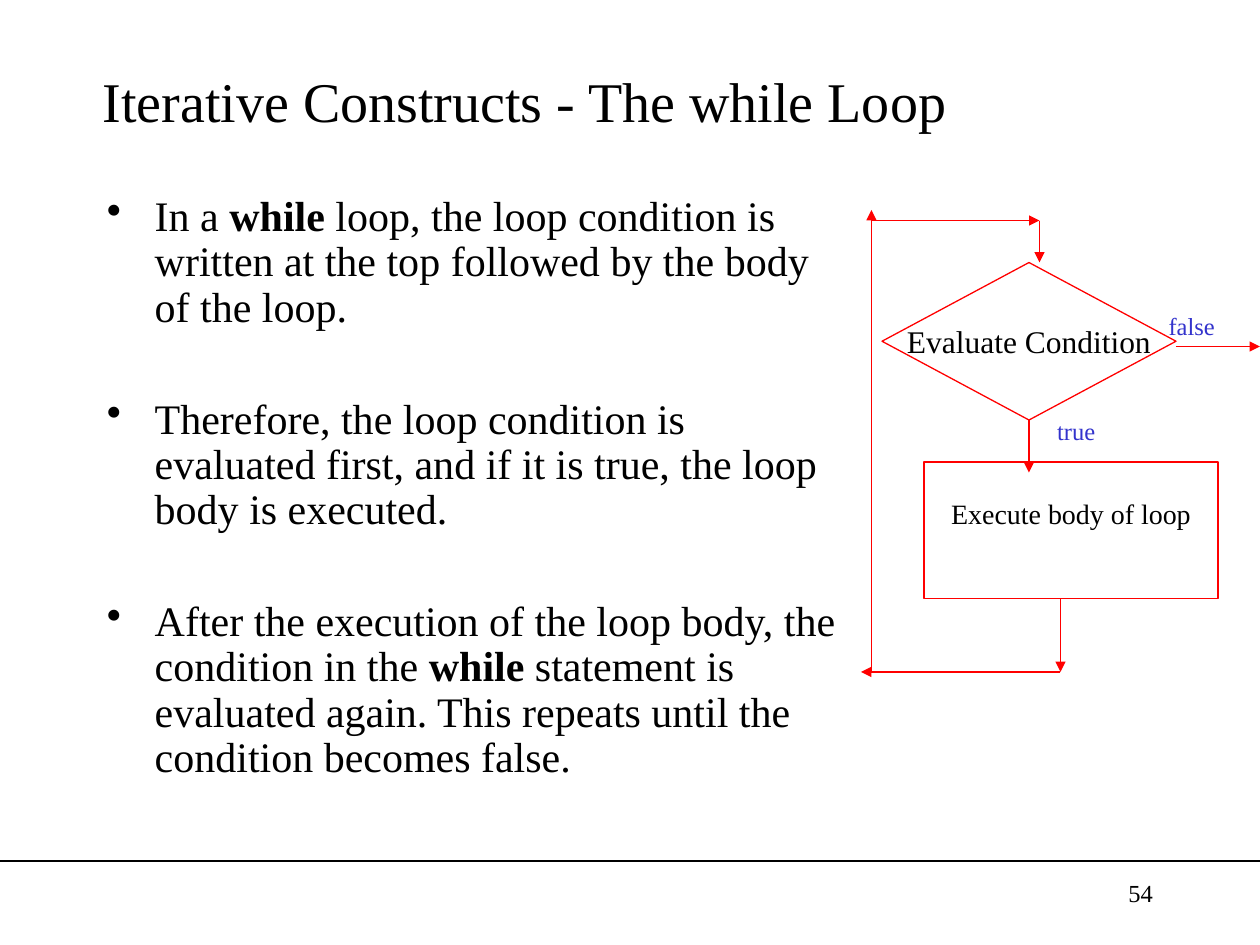
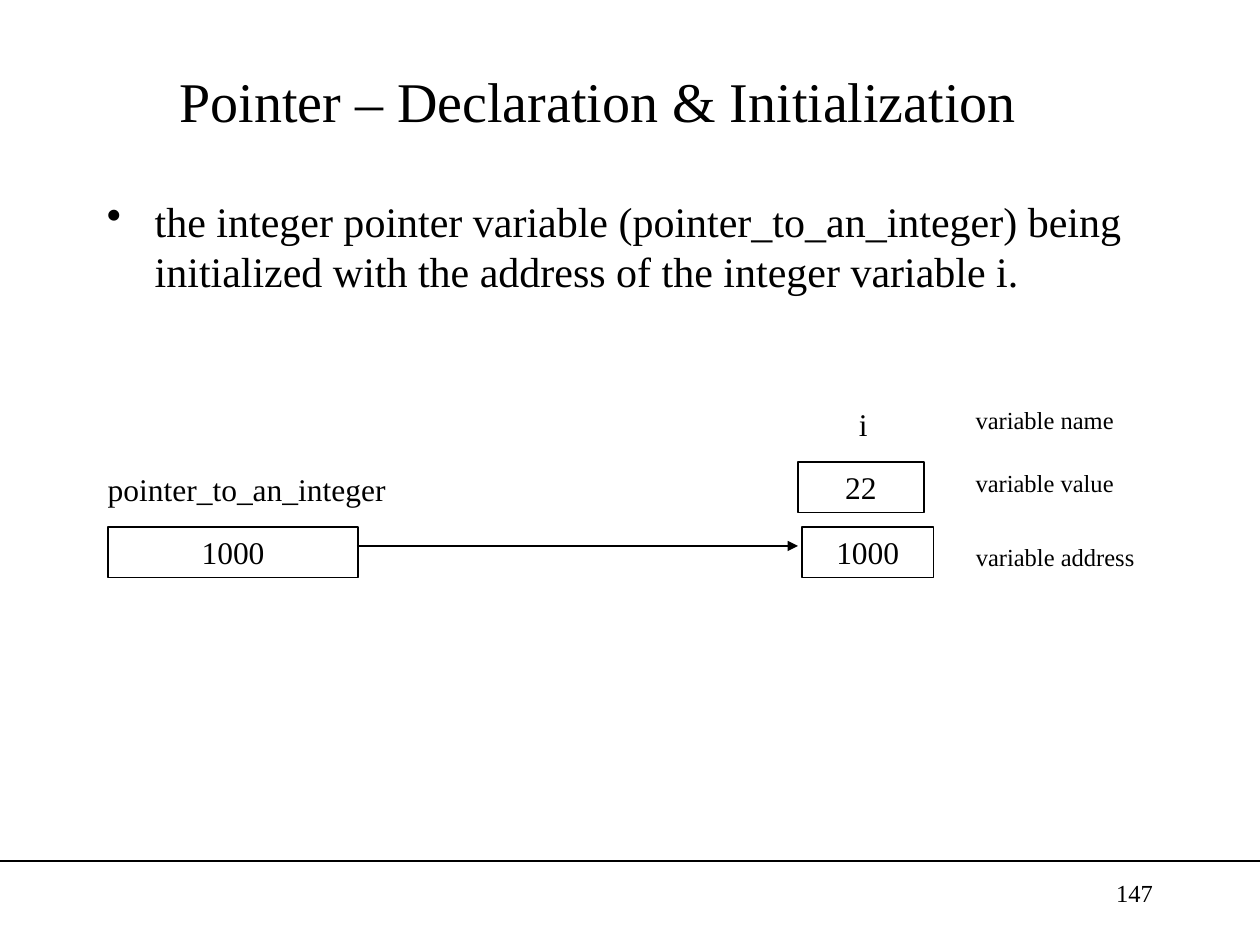
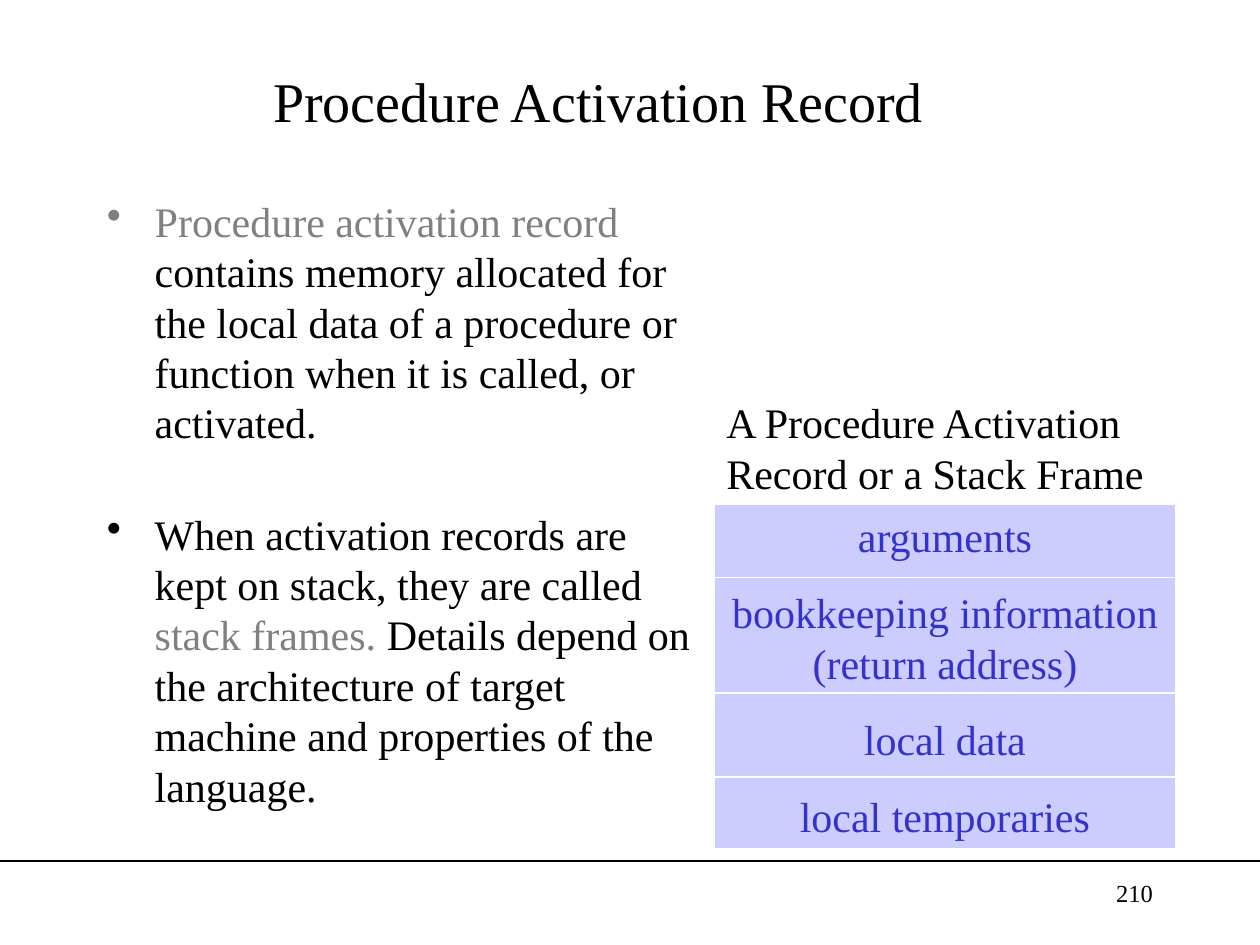
from lxml import etree
from pptx import Presentation
from pptx import util as u
from pptx.dml.color import RGBColor
from pptx.enum import shapes, text
from pptx.oxml import ns

COLORS = {
    "black": "000000",
    "white": "FFFFFF",
    "red": "FF0000",
    "blue": "3333CC",
    "gray": "808080",
    "lavender": "CCCCFF",
}
FONT = "Times New Roman"
COLUMNS, ROWS = 120, 90
TITLE_SIZE, BODY_SIZE, LABEL_SIZE, NOTE_SIZE = 32, 24, 18, 14
CENTER, LEFT, RIGHT = text.PP_ALIGN.CENTER, text.PP_ALIGN.LEFT, text.PP_ALIGN.RIGHT
TOP, MIDDLE = text.MSO_ANCHOR.TOP, text.MSO_ANCHOR.MIDDLE

presentation = Presentation()
presentation.slide_width = u.Inches(10)
presentation.slide_height = u.Inches(7.5)
CELL = presentation.slide_width / COLUMNS


def write(shape, paragraphs, size, align=CENTER, anchor=TOP, color="black", gap=0, wrap=True):
    frame = shape.text_frame
    frame.auto_size = text.MSO_AUTO_SIZE.NONE
    frame.word_wrap = wrap
    frame.vertical_anchor = anchor
    for index, runs in enumerate(paragraphs):
        paragraph = frame.add_paragraph() if index else frame.paragraphs[0]
        paragraph.alignment = align
        paragraph.space_before = u.Pt(gap if index else 0)
        for words, *style in runs:
            run = paragraph.add_run()
            run.text = words
            run.font.name = FONT
            run.font.size = u.Pt(size)
            run.font.bold = "bold" in style
            run_color = "gray" if "gray" in style else color
            run.font.color.rgb = RGBColor.from_string(COLORS[run_color])


def add_line(slide, start, end, color="black", arrow=False):
    points = [round(value * CELL) for value in (*start, *end)]
    line = slide.shapes.add_connector(shapes.MSO_CONNECTOR.STRAIGHT, *points)
    line.line.color.rgb = RGBColor.from_string(COLORS[color])
    line.line.width = u.Pt(0.75)
    if arrow:
        etree.SubElement(line.line._get_or_add_ln(), ns.qn("a:tailEnd"), type="triangle")
    etree.SubElement(line._element.spPr, ns.qn("a:effectLst"))


pages = [
    ("54", "Iterative Constructs - The while Loop", -1, 72, 0.9, 38, [
        [("In a ",), ("while ", "bold"),
         ("loop, the loop condition is written at the top followed by the body of the loop.",)],
        [("Therefore, the loop condition is evaluated first, and if it is true, "
          "the loop body is executed.",)],
        [("After the execution of the loop body, the condition in the ",), ("while", "bold"),
         (" statement is evaluated again. This repeats until the condition becomes false.",)],
    ]),
    ("147", "Pointer – Declaration & Initialization", 6, 102, 1.0, 0, [
        [("the integer pointer variable (pointer_to_an_integer) being initialized "
          "with the address of the integer variable i.",)],
    ]),
    ("210", "Procedure Activation Record", 6, 59, 1.0, 34.8, [
        [("Procedure activation record", "gray"),
         (" contains memory allocated for the local data of a procedure or function "
          "when it is called, or activated.",)],
        [("When activation records are kept on stack, they are called ",),
         ("stack frames. ", "gray"),
         ("Details depend on the architecture of target machine and properties "
          "of the language.",)],
    ]),
]

slides = []
for number, heading, title_left, body_width, line_spacing, gap, bullets in pages:
    slide = presentation.slides.add_slide(presentation.slide_layouts[5])
    slides.append(slide)
    add_line(slide, (0, 82), (COLUMNS, 82))
    title = slide.shapes.title
    title.left, title.top, title.width, title.height = (
        round(value * CELL) for value in (title_left, 3, 102, 13))
    write(title, [[(heading,)]], TITLE_SIZE, anchor=MIDDLE)

    body = slide.shapes.add_textbox(*(round(value * CELL) for value in (9, 18, body_width, 62)))
    write(body, bullets, BODY_SIZE, LEFT, gap=gap)
    for paragraph, runs in zip(body.text_frame.paragraphs, bullets):
        paragraph.line_spacing = line_spacing
        properties = paragraph._p.get_or_add_pPr()
        properties.set("marL", str(u.Inches(0.38)))
        properties.set("indent", str(-u.Inches(0.38)))
        bullet_color = etree.SubElement(properties, ns.qn("a:buClr"))
        etree.SubElement(bullet_color, ns.qn("a:srgbClr"),
                         val=COLORS["gray" if "gray" in runs[0] else "black"])
        etree.SubElement(properties, ns.qn("a:buChar"), char="•")

    page_number = slide.shapes.add_textbox(*(round(value * CELL) for value in (86, 83, 25, 6)))
    write(page_number, [[(number,)]], NOTE_SIZE, RIGHT)

loop_slide, pointer_slide, record_slide = slides
RECTANGLE, DIAMOND = shapes.MSO_SHAPE.RECTANGLE, shapes.MSO_SHAPE.DIAMOND
record_parts = ["arguments", "bookkeeping information (return address)",
                "local data", "local temporaries"]
boxes = [
    (loop_slide, RECTANGLE, (88, 44, 28, 13), ["Execute body of loop"], 16, "red", None, False),
    (loop_slide, DIAMOND, (84, 25, 28, 15), ["Evaluate Condition"], LABEL_SIZE, "red", None, False),
    (pointer_slide, RECTANGLE, (76, 44, 12, 4.8), ["22"], LABEL_SIZE, "black", None, True),
    (pointer_slide, RECTANGLE, (76.4, 50.2, 12.5, 4.8), ["1000"], LABEL_SIZE, "black", None, True),
    (pointer_slide, RECTANGLE, (10.3, 50.2, 23.8, 4.8), ["1000"], LABEL_SIZE, "black", None, True),
    (record_slide, RECTANGLE, (68, 48, 44, 32.8), record_parts, BODY_SIZE, "white", "lavender", True),
]
for slide, kind, place, lines, size, outline, fill, wrap in boxes:
    box = slide.shapes.add_shape(kind, *(round(value * CELL) for value in place))
    box.shadow.inherit = False
    box.line.color.rgb = RGBColor.from_string(COLORS[outline])
    box.line.width = u.Pt(0.75)
    if fill:
        box.fill.solid()
        box.fill.fore_color.rgb = RGBColor.from_string(COLORS[fill])
    else:
        box.fill.background()
    if size == 16:
        box.text_frame.margin_bottom = u.Inches(0.32)
    write(box, [[(line,)] for line in lines], size, anchor=TOP if fill else MIDDLE,
          color="blue" if fill else "black", gap=15, wrap=wrap)

labels = [
    (loop_slide, (97, 39, 11, 4.1), "true", NOTE_SIZE, "blue", CENTER),
    (loop_slide, (108, 29, 11, 4.1), "false", NOTE_SIZE, "blue", CENTER),
    (pointer_slide, (77.8, 38, 8.8, 4.8), "i", LABEL_SIZE, "black", CENTER),
    (pointer_slide, (4.5, 44.2, 38, 4.8), "pointer_to_an_integer", LABEL_SIZE, "black", CENTER),
    (pointer_slide, (90, 38, 19, 4.1), "variable name", NOTE_SIZE, "black", CENTER),
    (pointer_slide, (90, 44, 19, 4.1), "variable value", NOTE_SIZE, "black", CENTER),
    (pointer_slide, (91, 51, 19, 4.1), "variable address", NOTE_SIZE, "black", CENTER),
    (record_slide, (68, 37.2, 49, 10.8), "A Procedure Activation Record or a Stack Frame",
     BODY_SIZE, "black", LEFT),
]
for slide, place, words, size, color, align in labels:
    label = slide.shapes.add_textbox(*(round(value * CELL) for value in place))
    write(label, [[(words,)]], size, align, color=color)

loop_arrows = [
    ((98, 40), (98, 45)),
    ((99, 21), (99, 25)),
    ((101, 57), (101, 64)),
    ((101, 64), (82, 64)),
    ((83, 64), (83, 20)),
    ((83, 21), (99, 21)),
    ((112, 33), (COLUMNS, 33)),
]
for start, end in loop_arrows:
    add_line(loop_slide, start, end, "red", arrow=True)

add_line(pointer_slide, (34, 52), (76, 52), arrow=True)

for row in (55, 66, 74):
    add_line(record_slide, (68, row), (112, row), "white")

presentation.save("out.pptx")
